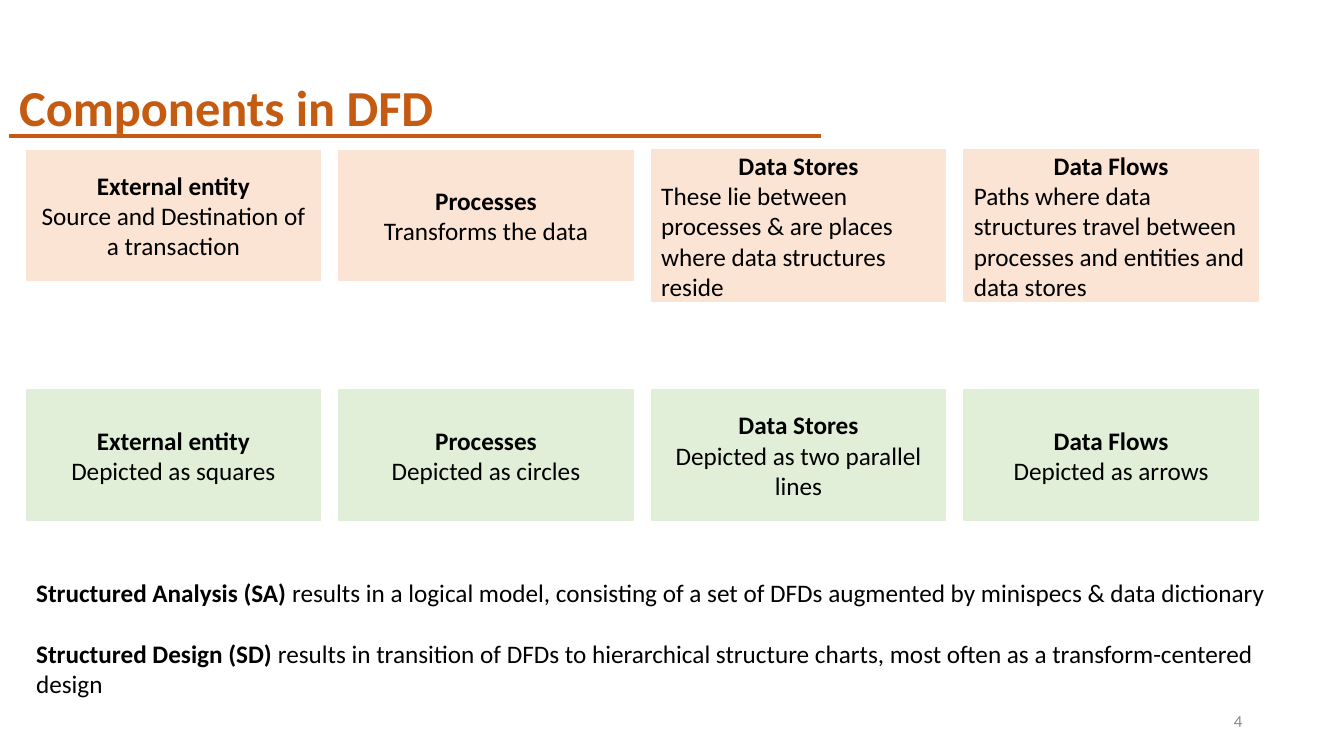
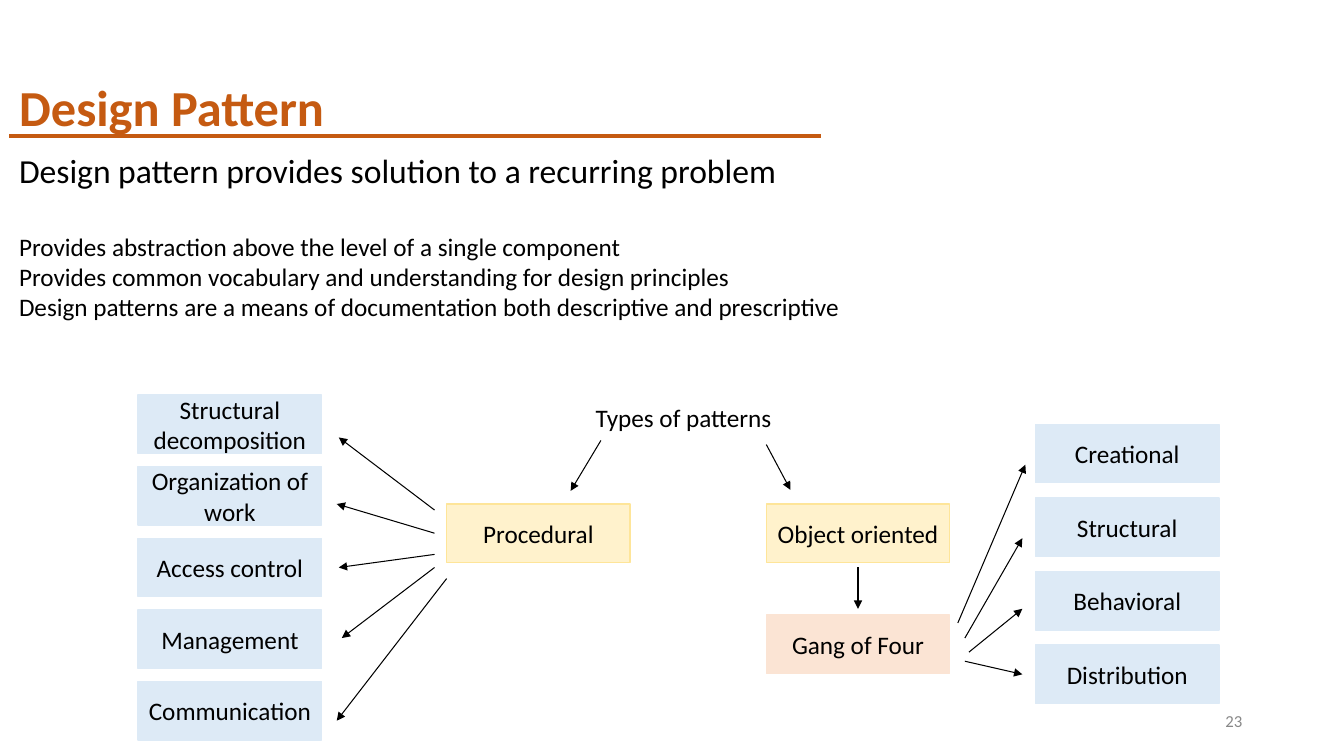
from dataclasses import dataclass

from lxml import etree
from pptx import Presentation
from pptx.dml.color import RGBColor
from pptx.enum.shapes import MSO_CONNECTOR, MSO_SHAPE
from pptx.enum.text import MSO_ANCHOR, MSO_AUTO_SIZE, PP_ALIGN
from pptx.oxml.ns import qn
from pptx.util import Inches, Pt

RECT = MSO_SHAPE.RECTANGLE
STRAIGHT = MSO_CONNECTOR.STRAIGHT
LEFT, CENTER, RIGHT = PP_ALIGN.LEFT, PP_ALIGN.CENTER, PP_ALIGN.RIGHT
TOP, MIDDLE = MSO_ANCHOR.TOP, MSO_ANCHOR.MIDDLE
NO_FIT = MSO_AUTO_SIZE.NONE
TITLE_ONLY = 5

FONT = "Calibri"
COLORS = {
    "accent": "C55A11",
    "text": "000000",
    "number": "888888",
    "peach": "FBE4D4",
    "green": "E1EFD8",
    "blue": "DDEAF6",
    "yellow": "FFF2CC",
    "yellow_edge": "FEE599",
}


@dataclass
class Para:
    text: str
    lead: str = ""  # bold words before the text
    size: int = 18
    align: int = LEFT
    before: int = 0
    color: str = "text"


def rgb(name):
    return RGBColor.from_string(COLORS[name])


def write(tf, paras, anchor=TOP):
    tf.word_wrap = True
    tf.auto_size = NO_FIT
    tf.vertical_anchor = anchor
    for i, para in enumerate(paras):
        p = tf.paragraphs[0] if i == 0 else tf.add_paragraph()
        p.alignment = para.align
        p.line_spacing = 1.0
        p.space_before = Pt(para.before)
        for text, bold in ((para.lead, True), (para.text, False)):
            if text:
                r = p.add_run()
                r.text = text
                r.font.name = FONT
                r.font.size = Pt(para.size)
                r.font.bold = bold
                r.font.color.rgb = rgb(para.color)


def add_text(s, x, y, w, h, paras, anchor=TOP):
    sp = s.shapes.add_textbox(Inches(x), Inches(y), Inches(w), Inches(h))
    write(sp.text_frame, paras, anchor)


def add_box(s, x, y, w, h, paras, fill, edge=None):
    sp = s.shapes.add_shape(RECT, Inches(x), Inches(y), Inches(w), Inches(h))
    sp.shadow.inherit = False
    sp.fill.solid()
    sp.fill.fore_color.rgb = rgb(fill)
    sp.line.color.rgb = rgb(edge or fill)
    sp.line.width = Pt(1)
    write(sp.text_frame, paras, MIDDLE)


def add_line(s, start, end, color, width, arrow=False):
    points = [Inches(v) for v in (*start, *end)]
    line = s.shapes.add_connector(STRAIGHT, *points)
    line.line.color.rgb = rgb(color)
    line.line.width = Pt(width)
    if arrow:
        ln = line.line._get_or_add_ln()
        etree.SubElement(ln, qn("a:tailEnd"), type="triangle")
    etree.SubElement(line._element.spPr, qn("a:effectLst"))


def add_slide(prs, title, number):
    """Slide with the shared title, rule and page number."""
    s = prs.slides.add_slide(prs.slide_layouts[TITLE_ONLY])
    sp = s.shapes.title
    sp.left, sp.top = Inches(0.09), Inches(0.71)
    sp.width, sp.height = Inches(7.51), Inches(0.5)
    write(sp.text_frame, [Para("", lead=title, size=36, color="accent")])
    add_line(s, (0.09, 1.35), (8.14, 1.35), "accent", 3)
    add_text(s, 9.42, 6.95, 3, 0.4,
             [Para(str(number), size=12, align=RIGHT, color="number")], MIDDLE)
    return s


def card_row(s, x, y, cards, fill):
    """Row of cards: heading, body, body alignment and height."""
    width, pitch = 2.92, 3.1
    for i, (heading, body, align, height) in enumerate(cards):
        paras = [Para("", lead=heading, align=CENTER), Para(body, align=align)]
        add_box(s, x + i * pitch, y, width, height, paras, fill)


def node(s, x, y, label, fill, edge=None):
    add_box(s, x, y, 1.82, 0.58, [Para(label, align=CENTER)], fill, edge)


def node_stack(s, x, y, pitch, labels):
    for i, label in enumerate(labels):
        node(s, x, y + i * pitch, label, "blue")


def pattern_tree(s, x, y):
    """Tree of pattern types; offsets are from its top left corner."""
    add_text(s, x + 4.44, y + 0.02, 2.57, 0.4, [Para("Types of patterns")])

    # Branches
    node(s, x + 3.06, y + 1.08, "Procedural", "yellow", "yellow_edge")
    node(s, x + 6.23, y + 1.08, "Object oriented", "yellow", "yellow_edge")
    node(s, x + 6.23, y + 2.18, "Gang of Four", "peach")

    # Leaves
    node_stack(s, x, y, 0.71, [
        "Structural decomposition", "Organization of work",
        "Access control", "Management", "Communication"])
    node_stack(s, x + 8.9, y + 0.29, 0.73, [
        "Creational", "Structural", "Behavioral", "Distribution"])

    # Arrows
    arrows = [
        # root to branches
        (4.59, 0.45, 4.29, 0.95), (6.23, 0.49, 6.47, 0.94),
        (7.14, 1.71, 7.14, 2.12),
        # Procedural to its leaves
        (2.94, 1.14, 1.99, 0.42), (2.94, 1.37, 1.97, 1.08),
        (2.94, 1.58, 1.99, 1.71), (2.94, 1.71, 2.02, 2.41),
        (3.06, 1.82, 1.97, 3.23),
        # Gang of Four to its leaves
        (8.13, 2.26, 8.8, 0.69), (8.2, 2.41, 8.77, 1.42),
        (8.24, 2.55, 8.77, 2.12), (8.2, 2.64, 8.77, 2.77),
    ]
    for x1, y1, x2, y2 in arrows:
        add_line(s, (x + x1, y + y1), (x + x2, y + y2), "text", 0.75, True)


def components_slide(prs):
    s = add_slide(prs, "Components in DFD", 4)
    # What each component is
    card_row(s, 0.26, 1.49, [
        ("External entity", "Source and Destination of a transaction",
         CENTER, 1.29),
        ("Processes", "Transforms the data", CENTER, 1.29),
        ("Data Stores", "These lie between processes & are places where "
         "data structures reside", LEFT, 1.5),
        ("Data Flows", "Paths where data structures travel between "
         "processes and entities and data stores", LEFT, 1.5),
    ], "peach")
    # How each component is drawn
    card_row(s, 0.26, 3.87, [
        ("External entity", "Depicted as squares", CENTER, 1.29),
        ("Processes", "Depicted as circles", CENTER, 1.29),
        ("Data Stores", "Depicted as two parallel lines", CENTER, 1.29),
        ("Data Flows", "Depicted as arrows", CENTER, 1.29),
    ], "green")
    # Summary
    add_text(s, 0.26, 5.68, 12.69, 1.32, [
        Para("results in a logical model, consisting of a set of DFDs "
             "augmented by minispecs & data dictionary",
             lead="Structured Analysis (SA) "),
        Para("results in transition of DFDs to hierarchical structure "
             "charts, most often as a transform-centered design",
             lead="Structured Design (SD) ", before=22),
    ])


def pattern_slide(prs):
    s = add_slide(prs, "Design Pattern", 23)
    add_text(s, 0.09, 1.44, 8.45, 1.82, [
        Para("Design pattern provides solution to a recurring problem",
             size=24),
        Para("Provides abstraction above the level of a single component",
             before=29),
        Para("Provides common vocabulary and understanding for design "
             "principles"),
        Para("Design patterns are a means of documentation both "
             "descriptive and prescriptive"),
    ])
    pattern_tree(s, 1.37, 3.92)


def main():
    prs = Presentation()
    prs.slide_width, prs.slide_height = Inches(13.33), Inches(7.5)
    components_slide(prs)
    pattern_slide(prs)
    prs.save("out.pptx")


if __name__ == "__main__":
    main()
